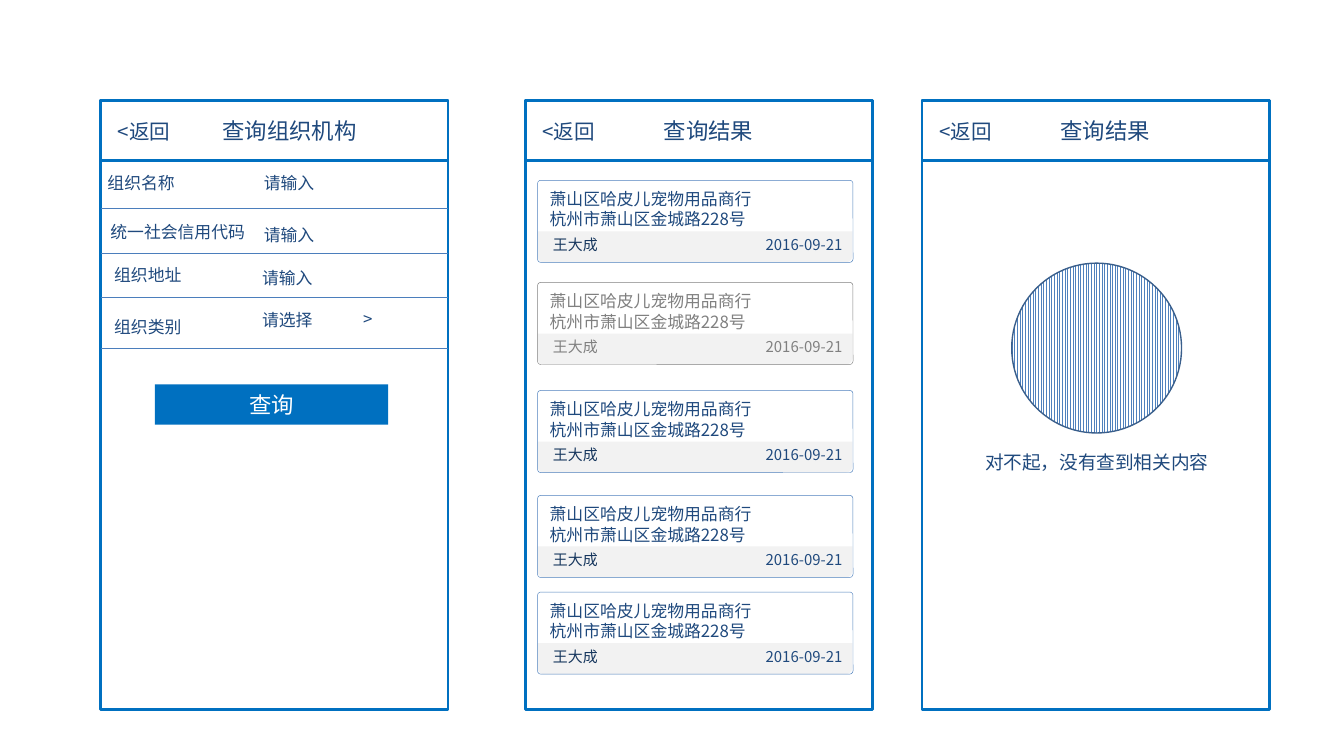
from lxml import etree
from pptx import Presentation
from pptx import util as u
from pptx.dml import color
from pptx.enum import dml, shapes, text
from pptx.oxml import ns

COLORS = {
    "white": "FFFFFF",
    "frame": "0070C0",
    "ink": "1F497D",
    "name": "17375E",
    "muted": "808080",
    "footer": "F2F2F2",
    "card": "4F81BD",
    "divider": "4B7EBC",
    "circle": "3A5F8C",
}
SHAPE = shapes.MSO_SHAPE
ALIGN = text.PP_ALIGN


def rgb(name):
    return color.RGBColor.from_string(COLORS[name])


class Wireframe:
    """Style and current slide; all lengths are in points."""

    font = "Noto Sans CJK SC"
    top, width, height, header = 54, 186, 326, 32

    def __init__(self, page):
        self.page = page

    def shape(self, kind, x, y, w, h, fill=None, line=None, weight=1.5):
        box = self.page.shapes.add_shape(kind, u.Pt(x), u.Pt(y), u.Pt(w), u.Pt(h))
        box.shadow.inherit = False
        if fill:
            box.fill.solid()
            box.fill.fore_color.rgb = rgb(fill)
        else:
            box.fill.background()
        if line:
            box.line.color.rgb = rgb(line)
            box.line.width = u.Pt(weight)
        else:
            box.line.fill.background()
        return box

    def set_text(self, box, content, size, ink="ink", align=ALIGN.LEFT, pitch=None):
        """Put centred-height text in a box; pitch is an exact line height."""
        frame = box.text_frame
        frame.word_wrap = True
        frame.vertical_anchor = text.MSO_ANCHOR.MIDDLE
        frame.margin_left = frame.margin_right = 0
        frame.margin_top = frame.margin_bottom = 0
        frame.text = content
        for para in frame.paragraphs:
            para.alignment = align
            if pitch:
                para.line_spacing = u.Pt(pitch)
            for span in para.runs:
                span.font.size = u.Pt(size)
                span.font.color.rgb = rgb(ink)
                span.font.name = self.font
                east_asian = etree.SubElement(span.font._element, ns.qn("a:ea"))
                east_asian.set("typeface", self.font)

    def label(self, content, x, y, w, h, size, fill=None, **style):
        box = self.page.shapes.add_textbox(u.Pt(x), u.Pt(y), u.Pt(w), u.Pt(h))
        if fill:
            box.fill.solid()
            box.fill.fore_color.rgb = rgb(fill)
        self.set_text(box, content, size, **style)

    def divider(self, x, y):
        line = self.page.shapes.add_connector(
            shapes.MSO_CONNECTOR.STRAIGHT, u.Pt(x), u.Pt(y), u.Pt(x + self.width), u.Pt(y))
        line.line.color.rgb = rgb("divider")
        line.line.width = u.Pt(0.75)
        etree.SubElement(line._element.spPr, ns.qn("a:effectLst"))

    def phone(self, x, title, title_width=81):
        self.shape(SHAPE.RECTANGLE, x, self.top, self.width, self.header, "white", "frame")
        self.label(title, x + 57.6, 59, title_width, 21.6, 12, align=ALIGN.CENTER)
        self.shape(SHAPE.RECTANGLE, x, self.top, self.width, self.height, line="frame")
        self.label("<返回", x + 2.5, 63.4, 41.5, 13.7, 11, "white", align=ALIGN.CENTER)

    def card(self, x, y, muted=False):
        ink = "muted" if muted else "ink"
        footer = self.shape(SHAPE.ROUND_2_SAME_RECTANGLE, x, y + 27.4, 168.6, 16.6, "footer")
        footer.adjustments[0] = 0
        footer.adjustments[1] = 0.2
        outline = self.shape(SHAPE.ROUNDED_RECTANGLE, x, y, 169, 44,
                             line="muted" if muted else "card", weight=0.25)
        outline.adjustments[0] = 0.04
        self.label("萧山区哈皮儿宠物用品商行\n杭州市萧山区金城路228号",
                   x + 6.5, y + 4.7, 147, 21.6, 9, "white", ink=ink, pitch=10.8)
        self.label("王大成", x + 8.2, y + 29.5, 29, 9.6, 8, ink="muted" if muted else "name")
        self.label("2016-09-21", x + 93, y + 29.5, 70.4, 9.6, 8, ink=ink, align=ALIGN.RIGHT)


def query_screen(wireframe, x):
    wireframe.phone(x, "查询组织机构", 87)
    # label, its left and top, prompt, its left and top, divider height
    fields = [
        ("组织名称", 57.6, 92.7, "请输入", 141.3, 92.7, 111.6),
        ("统一社会信用代码", 59.2, 118.8, "请输入", 141.3, 120.4, 135.7),
        ("组织地址", 61.2, 141.6, "请输入", 140.4, 143.4, 159.5),
        ("组织类别", 61.2, 169.9, "请选择", 140.4, 165.9, 186.6),
    ]
    for name, left, top, prompt, prompt_left, prompt_top, line_y in fields:
        wireframe.label(name, left, top, 80, 10.8, 9, "white")
        wireframe.label(prompt, prompt_left, prompt_top, 48, 10.8, 9, "white")
        wireframe.divider(x, line_y)
    wireframe.label(">", 194.5, 165.6, 36, 10.8, 9, "white")
    button = wireframe.shape(SHAPE.RECTANGLE, 83, 206, 125, 21.6, "frame")
    wireframe.set_text(button, "查询", 12, "white", ALIGN.CENTER)


def results_screen(wireframe, x):
    wireframe.phone(x, "查询结果")
    for index, top in enumerate([96.6, 151.3, 209.2, 265.4, 317.2]):
        wireframe.card(x + 6.5, top, muted=index == 1)


def empty_screen(wireframe, x):
    wireframe.phone(x, "查询结果")
    circle = wireframe.shape(SHAPE.OVAL, 542, 141, 91, 91, line="circle", weight=0.75)
    circle.fill.patterned()
    circle.fill.pattern = dml.MSO_PATTERN.LIGHT_VERTICAL
    circle.fill.fore_color.rgb = rgb("card")
    circle.fill.back_color.rgb = rgb("white")
    wireframe.label("对不起，没有查到相关内容", 514.5, 241.2, 146, 12.2, 10, "white",
                    align=ALIGN.CENTER)


def main():
    deck = Presentation()
    deck.slide_width, deck.slide_height = u.Pt(720), u.Pt(405)
    wireframe = Wireframe(deck.slides.add_slide(deck.slide_layouts[6]))
    query_screen(wireframe, 54)
    results_screen(wireframe, 281.5)
    empty_screen(wireframe, 494)
    deck.save("out.pptx")


if __name__ == "__main__":
    main()
